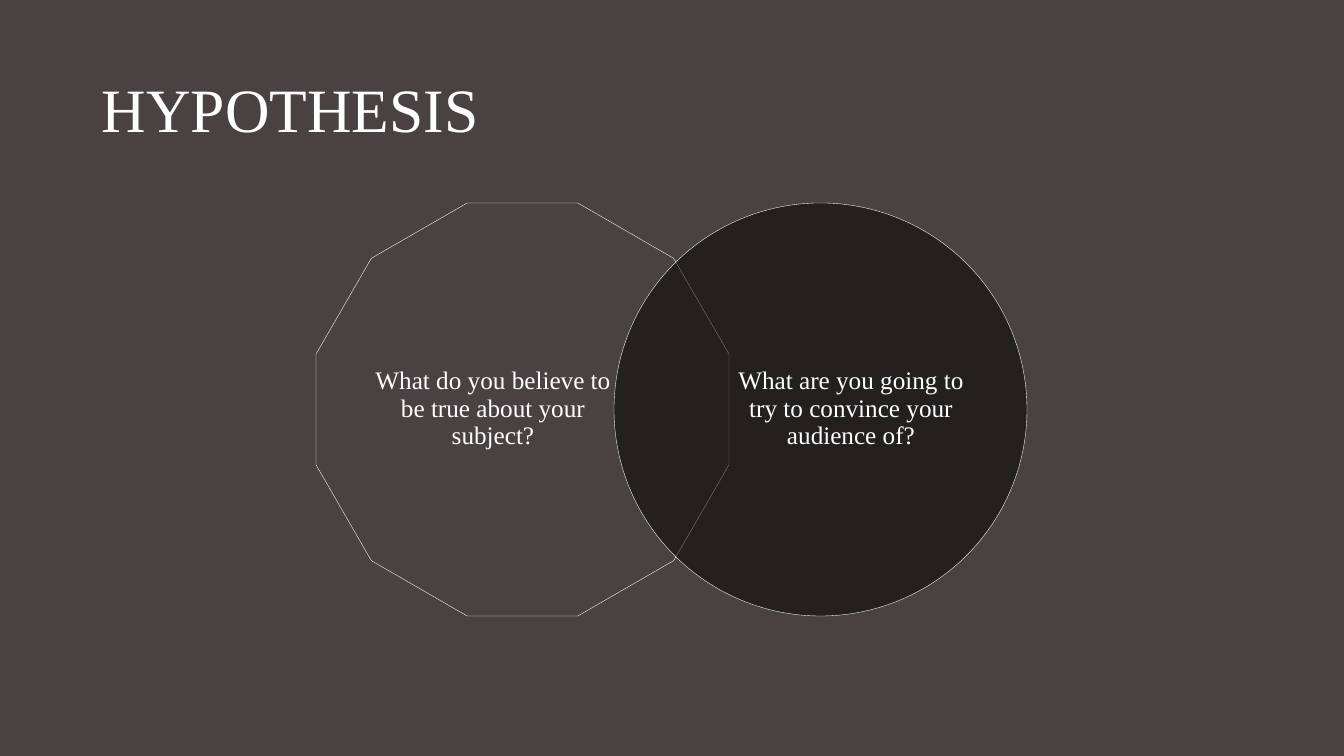
from dataclasses import dataclass

from lxml import etree
from pptx import Presentation
from pptx.dml.color import RGBColor
from pptx.enum.shapes import MSO_SHAPE
from pptx.enum.text import MSO_ANCHOR, PP_ALIGN
from pptx.oxml.ns import qn
from pptx.slide import Slide
from pptx.util import Emu, Pt

EMU_PER_PX = 914400 / 100.8
PAGE_WIDTH, PAGE_HEIGHT = 1344, 756
DODECAGON, OVAL = MSO_SHAPE.DODECAGON, MSO_SHAPE.OVAL
LEFT, CENTER = PP_ALIGN.LEFT, PP_ALIGN.CENTER
MIDDLE = MSO_ANCHOR.MIDDLE
FONT = "Times New Roman"
BACKGROUND, WHITE, BLACK = "494142", "FFFFFF", "000000"

VENN_TOP, VENN_SIZE = 203, 413
QUESTION_TOP, QUESTION_WIDTH, QUESTION_HEIGHT = 251, 238, 316


@dataclass(frozen=True)
class VennSet:
    outline: MSO_SHAPE
    left: int
    question_left: int
    question: str
    shaded: bool


VENN_SETS = [
    VennSet(DODECAGON, 316, 374, "What do you believe to be true about your subject?", False),
    VennSet(OVAL, 614, 732, "What are you going to try to convince your audience of?", True),
]


def px(length: int) -> Emu:
    return Emu(round(length * EMU_PER_PX))


def color(hex_code: str) -> RGBColor:
    return RGBColor.from_string(hex_code)


def add_text(page: Slide, text: str, left: int, top: int, width: int, height: int,
             size: int, align: PP_ALIGN, inset: int = 0) -> None:
    """Add a vertically centred white text box with equal side insets."""
    box = page.shapes.add_textbox(px(left), px(top), px(width), px(height))
    frame = box.text_frame
    frame.word_wrap = True
    frame.vertical_anchor = MIDDLE
    frame.margin_left = frame.margin_right = px(inset)
    frame.margin_top = frame.margin_bottom = 0
    para = frame.paragraphs[0]
    para.text = text
    para.alignment = align
    para.line_spacing = 0.9
    para.font.name = FONT
    para.font.size = Pt(size)
    para.font.color.rgb = color(WHITE)


def add_venn_set(page: Slide, venn_set: VennSet) -> None:
    shape = page.shapes.add_shape(venn_set.outline, px(venn_set.left), px(VENN_TOP),
                                  px(VENN_SIZE), px(VENN_SIZE))
    shape.shadow.inherit = False
    shape.line.color.rgb = color(WHITE)
    shape.line.width = Pt(0.25)
    if venn_set.shaded:
        shape.fill.solid()
        shape.fill.fore_color.rgb = color(BLACK)
        fill_color = shape._element.spPr.find(qn("a:solidFill"))[0]
        etree.SubElement(fill_color, qn("a:alpha"), val="50000")
    else:
        shape.fill.background()
    add_text(page, venn_set.question, venn_set.question_left, QUESTION_TOP,
             QUESTION_WIDTH, QUESTION_HEIGHT, 18, CENTER)


def main() -> None:
    deck = Presentation()
    deck.slide_width, deck.slide_height = px(PAGE_WIDTH), px(PAGE_HEIGHT)
    page = deck.slides.add_slide(deck.slide_layouts[6])
    page.background.fill.solid()
    page.background.fill.fore_color.rgb = color(BACKGROUND)
    add_text(page, "HYPOTHESIS", 92, 40, 1159, 146, 44, LEFT, inset=10)
    for venn_set in VENN_SETS:
        add_venn_set(page, venn_set)
    deck.save("out.pptx")


if __name__ == "__main__":
    main()
